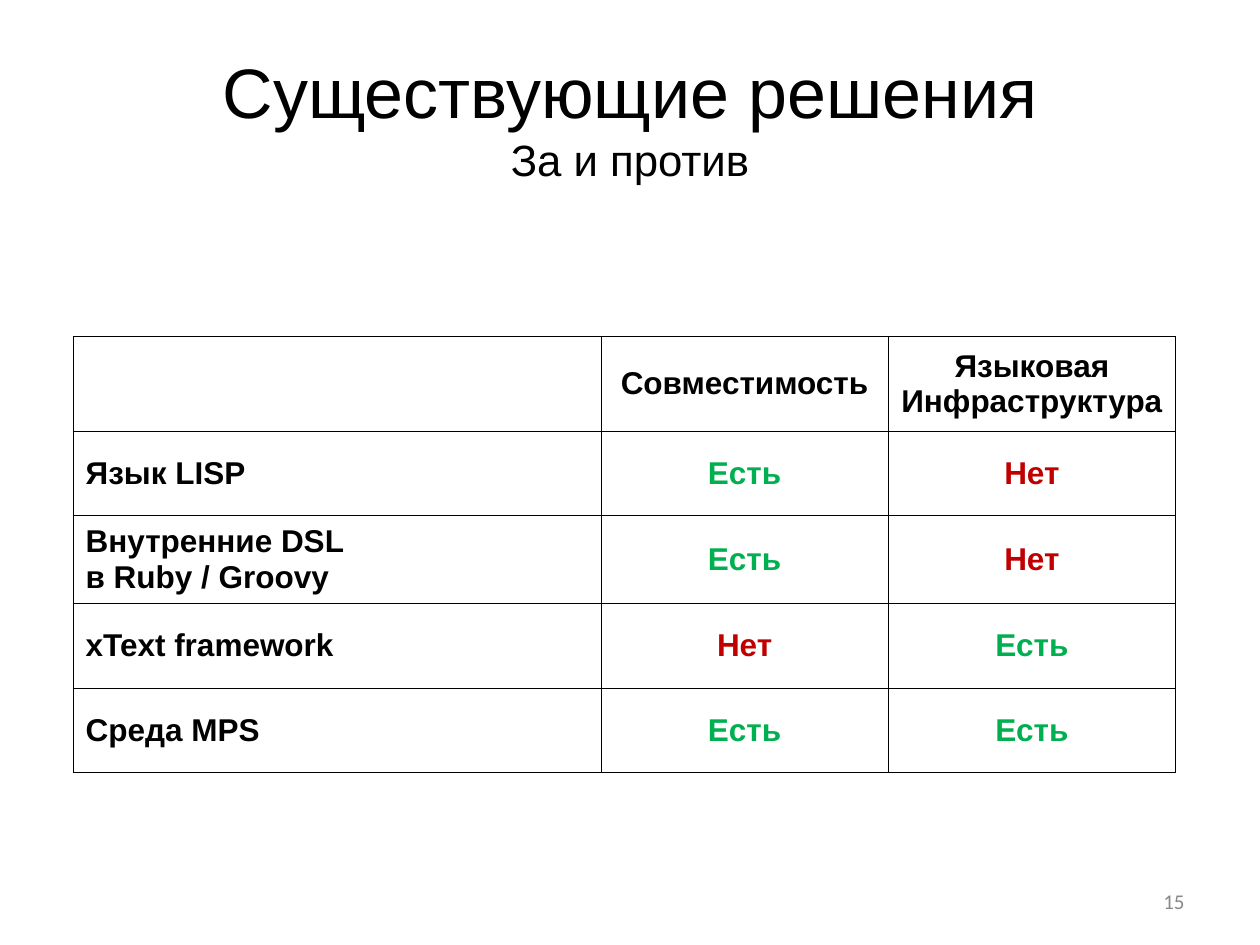
from pptx import Presentation
from pptx.dml.color import RGBColor
from pptx.enum.text import MSO_ANCHOR as Anchor, PP_ALIGN as Align
from pptx.oxml import parse_xml
from pptx.oxml.ns import nsdecls
from pptx.util import Inches, Pt

COLORS = {"ink": "000000", "yes": "00B050", "no": "C00000", "page": "898989"}
EDGES = ("lnL", "lnR", "lnT", "lnB")


def style(font, size, color="ink", name="Arial", bold=False):
    font.size = Pt(size)
    font.name = name
    font.bold = bold
    font.color.rgb = RGBColor.from_string(COLORS[color])


def add_box(left, top, width, height, align):
    """Add a wrapping, middle-anchored text box and return its paragraph."""
    box = slide.shapes.add_textbox(*map(Inches, (left, top, width, height)))
    frame = box.text_frame
    frame.word_wrap = True
    frame.vertical_anchor = Anchor.MIDDLE
    para = frame.paragraphs[0]
    para.alignment = align
    return para


deck = Presentation()
deck.slide_width, deck.slide_height = Inches(10), Inches(7.5)
slide = deck.slides.add_slide(deck.slide_layouts[6])

# Title and subtitle
title = add_box(0.5, 0.3, 9, 1.25, Align.CENTER)
head = title.add_run()
head.text = "Существующие решения"
style(head.font, 40)
title.add_line_break()
sub = title.add_run()
sub.text = "За и против"
style(sub.font, 25)

# Comparison table
ROWS = [
    ("", "Совместимость", "Языковая\nИнфраструктура"),
    ("Язык LISP", "Есть", "Нет"),
    ("Внутренние DSL\vв Ruby / Groovy", "Есть", "Нет"),
    ("xText framework", "Нет", "Есть"),
    ("Среда MPS", "Есть", "Есть"),
]
WIDTHS = (4.19, 2.28, 2.28)
HEIGHTS = (0.75, 0.67, 0.7, 0.67, 0.67)
TONES = {"Есть": "yes", "Нет": "no"}

table = slide.shapes.add_table(
    len(ROWS), len(WIDTHS), Inches(0.58), Inches(2.67),
    Inches(sum(WIDTHS)), Inches(sum(HEIGHTS))).table
table.first_row = table.horz_banding = False
for col, width in zip(table.columns, WIDTHS):
    col.width = Inches(width)

for row, height, texts in zip(table.rows, HEIGHTS, ROWS):
    row.height = Inches(height)
    for index, (cell, text) in enumerate(zip(row.cells, texts)):
        props = cell._tc.get_or_add_tcPr()
        for edge in EDGES:
            props.append(parse_xml(
                f'<a:{edge} {nsdecls("a")} w="{Pt(0.45)}"><a:solidFill>'
                f'<a:srgbClr val="{COLORS["ink"]}"/></a:solidFill></a:{edge}>'))
        cell.fill.background()
        cell.vertical_anchor = Anchor.MIDDLE
        cell.text = text
        for para in cell.text_frame.paragraphs:
            para.alignment = Align.CENTER if index else Align.LEFT
            style(para.font, 18, TONES.get(text, "ink"), bold=True)

# Page number
page = add_box(7.17, 6.95, 2.33, 0.4, Align.RIGHT)
page.text = "15"
style(page.font, 12, "page", "Calibri")

deck.save("out.pptx")
